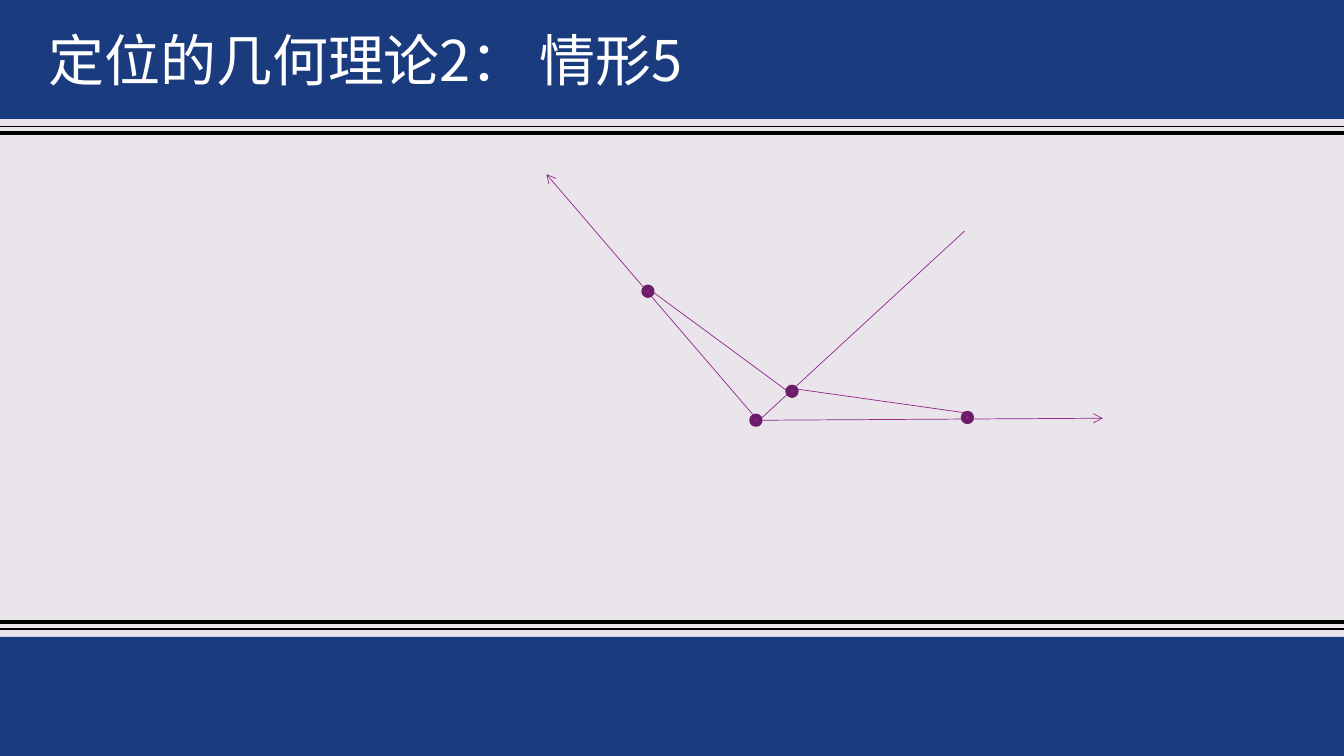
from typing import NamedTuple

from lxml.etree import SubElement
from pptx import Presentation
from pptx.dml.color import RGBColor
from pptx.enum.shapes import MSO_CONNECTOR, MSO_SHAPE
from pptx.enum.text import MSO_ANCHOR, MSO_AUTO_SIZE
from pptx.oxml.ns import qn
from pptx.util import Cm, Pt

WIDTH, HEIGHT = 33.87, 19.05
BAND_HEIGHT = 3.0
DOT_SIZE = 0.2
FONT = "Noto Sans CJK SC"
NAVY, BLACK, WHITE, PAPER = "1B3B7F", "000000", "FFFFFF", "EAE5EB"
PURPLE, PLUM = "92278F", "6C1D6A"


class Segment(NamedTuple):
    x1: float
    y1: float
    x2: float
    y2: float
    color: str = PURPLE
    weight: float = 0.5
    arrow: bool = False


class Dot(NamedTuple):
    x: float
    y: float


# Double rules beside the bands: height and weight
RULES = [
    Segment(0, y, WIDTH, y, BLACK, weight)
    for y, weight in [(15.67, 3), (15.85, 1), (3.35, 3), (3.18, 1)]
]

# Rays and links between the located points
RAYS = [
    Segment(19.1, 10.62, 24.31, 5.82),
    Segment(16.43, 7.34, 19.99, 9.96),
    Segment(19.91, 9.78, 24.38, 10.41),
    Segment(19.08, 10.57, 13.77, 4.39, arrow=True),
    Segment(19.1, 10.59, 27.79, 10.54, arrow=True),
]

DOTS = [Dot(16.33, 7.34), Dot(24.38, 10.52), Dot(19.05, 10.59), Dot(19.96, 9.86)]


def rgb(value: str) -> RGBColor:
    return RGBColor.from_string(value)


def draw_segment(s, seg: Segment) -> None:
    ends = [Cm(v) for v in seg[:4]]
    line = s.shapes.add_connector(MSO_CONNECTOR.STRAIGHT, *ends)
    line.line.color.rgb = rgb(seg.color)
    line.line.width = Pt(seg.weight)
    if seg.arrow:
        SubElement(line.line._get_or_add_ln(), qn("a:tailEnd"), type="arrow")
    SubElement(line._element.spPr, qn("a:effectLst"))


def draw_band(s, top: float) -> None:
    sp = s.shapes.add_shape(
        MSO_SHAPE.RECTANGLE, 0, Cm(top), Cm(WIDTH), Cm(BAND_HEIGHT))
    sp.shadow.inherit = False
    sp.fill.solid()
    sp.fill.fore_color.rgb = rgb(NAVY)
    sp.line.fill.background()


def draw_dot(s, dot: Dot) -> None:
    sp = s.shapes.add_shape(
        MSO_SHAPE.OVAL, Cm(dot.x - DOT_SIZE / 2), Cm(dot.y - DOT_SIZE / 2),
        Cm(DOT_SIZE), Cm(DOT_SIZE))
    sp.shadow.inherit = False
    sp.fill.solid()
    sp.fill.fore_color.rgb = rgb(PURPLE)
    sp.line.color.rgb = rgb(PLUM)
    sp.line.width = Pt(3.78)


def draw_title(s, text: str) -> None:
    tf = s.shapes.add_textbox(Cm(0.97), Cm(0.53), Cm(20.52), Cm(1.96)).text_frame
    frame_format = {
        "word_wrap": True,
        "auto_size": MSO_AUTO_SIZE.SHAPE_TO_FIT_TEXT,
        "vertical_anchor": MSO_ANCHOR.TOP,
    }
    for name, value in frame_format.items():
        setattr(tf, name, value)
    r = tf.paragraphs[0].add_run()
    r.text = text
    for name, value in {"size": Pt(40), "name": FONT}.items():
        setattr(r.font, name, value)
    r.font.color.rgb = rgb(WHITE)
    SubElement(r.font._element, qn("a:ea"), typeface=FONT)


def main() -> None:
    prs = Presentation()
    prs.slide_width, prs.slide_height = Cm(WIDTH), Cm(HEIGHT)
    s = prs.slides.add_slide(prs.slide_layouts[6])
    s.background.fill.solid()
    s.background.fill.fore_color.rgb = rgb(PAPER)

    # Frame and title
    for rule in RULES:
        draw_segment(s, rule)
    for top in (HEIGHT - BAND_HEIGHT, 0):
        draw_band(s, top)
    draw_title(s, "定位的几何理论2： 情形5")

    # Geometric figure
    for ray in RAYS:
        draw_segment(s, ray)
    for dot in DOTS:
        draw_dot(s, dot)

    prs.save("out.pptx")


if __name__ == "__main__":
    main()
